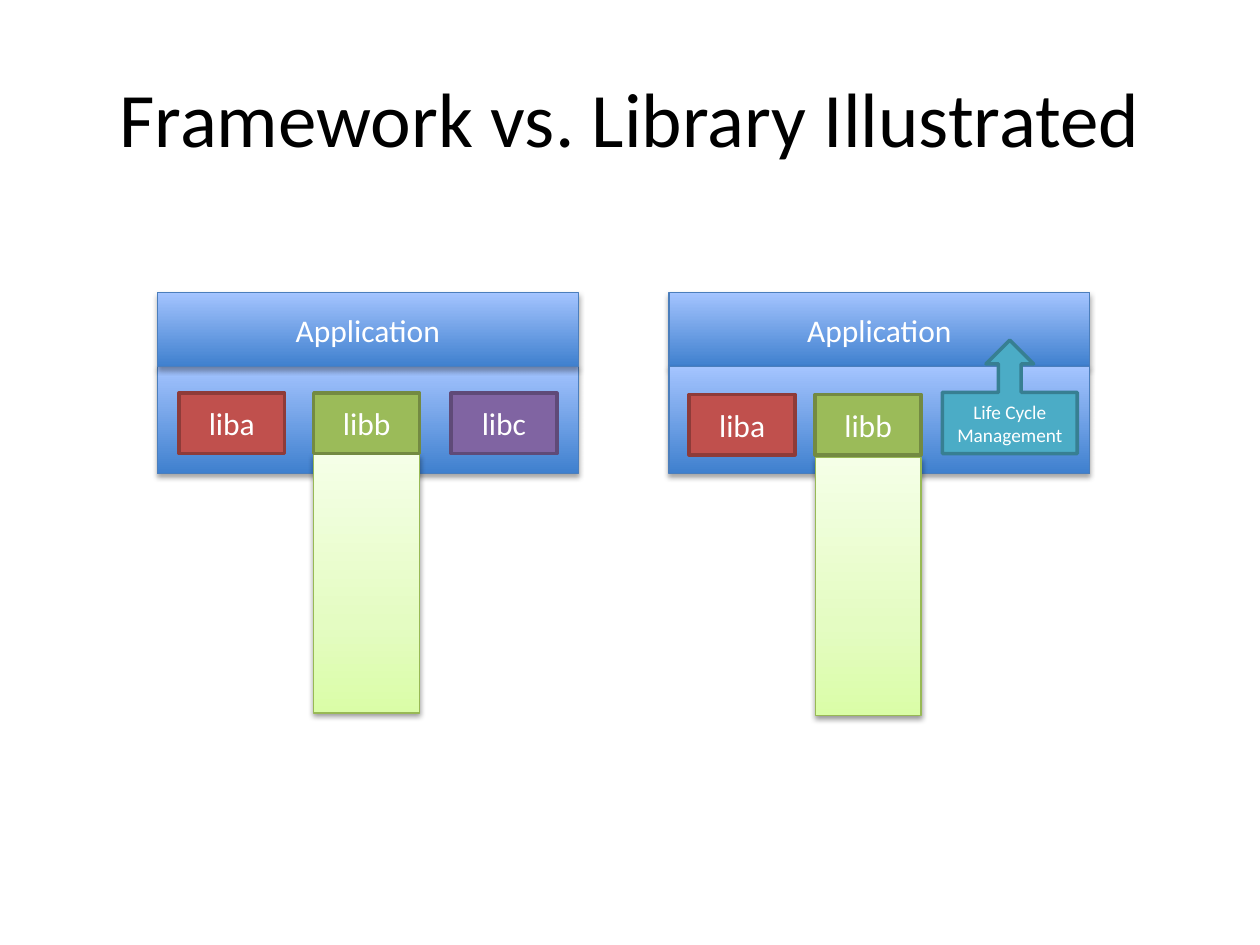
from lxml.etree import SubElement
from pptx import Presentation
from pptx.dml.color import RGBColor
from pptx.enum.shapes import MSO_SHAPE
from pptx.enum.text import MSO_ANCHOR, PP_ALIGN
from pptx.oxml.ns import qn
from pptx.util import Inches, Pt

COLORS = {
    "black": "000000", "white": "FFFFFF",
    "red": "C0504D", "red line": "8E3B39",
    "green": "9BBB59", "green line": "738A42",
    "purple": "8064A2", "purple line": "5F4A78",
    "teal": "4BACC6", "teal line": "377F92",
    "blue edge": "4B7EBC", "stem edge": "98B955",
}
BLUE = {"stops": [(0, "3F80CE"), (100, "A4C4FF")], "edge": "blue edge", "opacity": 35, "distance": 1.8}
STEM = {"stops": [(0, "DAFDA7"), (35, "E4FCC2"), (100, "F5FFE7")], "edge": "stem edge", "opacity": 38, "distance": 1.6}


def add_block(bounds, line, width, lines=(), size=18, kind=MSO_SHAPE.RECTANGLE):
    block = slide.shapes.add_shape(kind, *[Inches(value) for value in bounds])
    block.shadow.inherit = False
    block.line.color.rgb = RGBColor.from_string(COLORS[line])
    block.line.width = Pt(width)
    frame = block.text_frame
    frame.vertical_anchor = MSO_ANCHOR.MIDDLE
    for index, text in enumerate(lines):
        para = frame.add_paragraph() if index else frame.paragraphs[0]
        para.text = text
        para.alignment = PP_ALIGN.CENTER
        para.font.name = "Calibri"
        para.font.size = Pt(size)
        para.font.color.rgb = RGBColor.from_string(COLORS["white"])
    return block


def add_shaded(bounds, style, lines=()):
    block = add_block(bounds, style["edge"], 0.75, lines)
    block.fill.gradient()
    block.fill.gradient_angle = 90
    properties = block._element.spPr
    stop_list = properties.find(qn("a:gradFill")).find(qn("a:gsLst"))
    for stop in list(stop_list):
        stop_list.remove(stop)
    for position, color in style["stops"]:
        stop = SubElement(stop_list, qn("a:gs"), pos=str(position * 1000))
        SubElement(stop, qn("a:srgbClr"), val=color)
    shadow = SubElement(
        properties.find(qn("a:effectLst")), qn("a:outerShdw"),
        blurRad=str(Pt(3.1)), dist=str(Pt(style["distance"])), dir="5400000", rotWithShape="0",
    )
    shade = SubElement(shadow, qn("a:srgbClr"), val=COLORS["black"])
    SubElement(shade, qn("a:alpha"), val=str(style["opacity"] * 1000))


deck = Presentation()
deck.slide_width = Inches(10)
deck.slide_height = Inches(7.5)
slide = deck.slides.add_slide(deck.slide_layouts[6])

title = slide.shapes.add_textbox(Inches(0.5), Inches(0.3), Inches(9), Inches(1.25))
title.text_frame.word_wrap = True
title.text_frame.vertical_anchor = MSO_ANCHOR.MIDDLE
para = title.text_frame.paragraphs[0]
para.text = "Framework vs. Library Illustrated"
para.alignment = PP_ALIGN.CENTER
para.font.name = "Calibri"
para.font.size = Pt(44)
para.font.color.rgb = RGBColor.from_string(COLORS["black"])

library = [("liba", 1.42, "red"), ("libb", 2.49, "green"), ("libc", 3.58, "purple")]
framework = [("liba", 5.47, "red"), ("libb", 6.47, "green")]
diagrams = [
    (1.25, 2.49, 3.61, 3.12, library, False),
    (5.31, 6.47, 3.63, 3.13, framework, True),
]
for left, stem_left, stem_top, part_top, parts, application_first in diagrams:
    layers = [
        ((left, 2.91, 3.34, 0.85), BLUE),
        ((stem_left, stem_top, 0.84, 2.05), STEM),
    ]
    application = ((left, 2.32, 3.34, 0.59), BLUE, ["Application"])
    layers.insert(0 if application_first else 2, application)
    for layer in layers:
        add_shaded(*layer)
    for name, part_left, color in parts:
        part = add_block((part_left, part_top, 0.84, 0.48), f"{color} line", 2, [name])
        part.fill.solid()
        part.fill.fore_color.rgb = RGBColor.from_string(COLORS[color])

callout = add_block(
    (7.48, 2.7, 1.07, 0.9), "teal line", 2,
    ["Life Cycle", "Management"], 11, MSO_SHAPE.UP_ARROW_CALLOUT,
)
callout.fill.solid()
callout.fill.fore_color.rgb = RGBColor.from_string(COLORS["teal"])
for index, value in enumerate([0.2, 0.21, 0.21, 0.54]):
    callout.adjustments[index] = value

deck.save("out.pptx")
